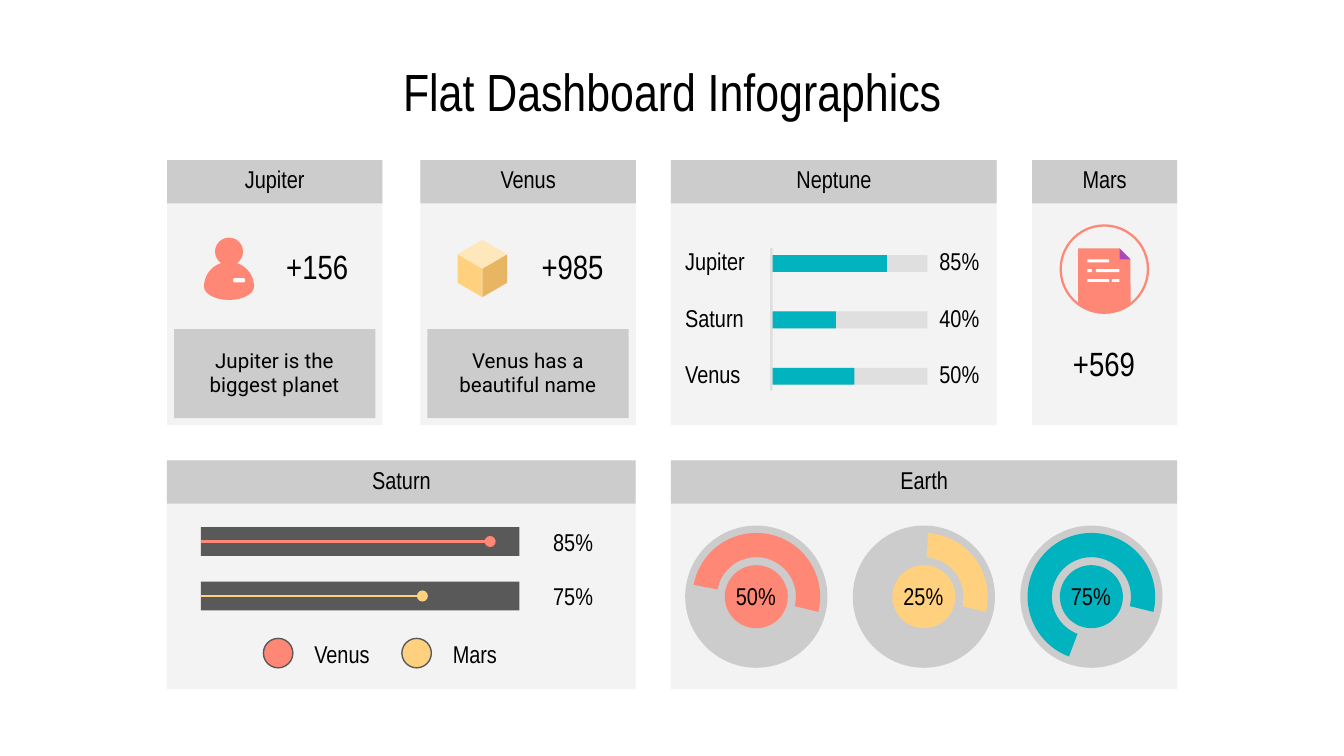
"""Build the flat dashboard infographics slide."""
from math import cos, radians, sin

from lxml import etree
from pptx import Presentation
from pptx.dml.color import RGBColor
from pptx.enum.shapes import MSO_CONNECTOR, MSO_SHAPE
from pptx.enum.text import MSO_ANCHOR, PP_ALIGN
from pptx.oxml.ns import qn
from pptx.util import Pt

RECTANGLE, ROUNDED, OVAL = MSO_SHAPE.RECTANGLE, MSO_SHAPE.ROUNDED_RECTANGLE, MSO_SHAPE.OVAL
DONUT, FOLD, BLOCK_ARC = MSO_SHAPE.DONUT, MSO_SHAPE.RIGHT_TRIANGLE, MSO_SHAPE.BLOCK_ARC
STRAIGHT = MSO_CONNECTOR.STRAIGHT
LEFT, CENTER = PP_ALIGN.LEFT, PP_ALIGN.CENTER
TOP, MIDDLE = MSO_ANCHOR.TOP, MSO_ANCHOR.MIDDLE

THEME = {
    "colors": {
        "text": "000000", "white": "FFFFFF", "card": "F3F3F3", "header": "CCCCCC",
        "track": "DFDFDF", "dark": "595959", "coral": "FF8775", "yellow": "FFD07E",
        "ochre": "E8B562", "cream": "FFE7BC", "teal": "00B3BE", "purple": "AF47BC",
    },
    "sizes": {"title": 28, "value": 18, "label": 13, "note": 11},
    "fonts": {"title": "Arial Narrow", "value": "Arial Narrow", "label": "Arial Narrow", "note": "Roboto"},
}
COLORS = {name: RGBColor.from_string(value) for name, value in THEME["colors"].items()}
INSETS = {f"margin_{side}": Pt(7.2) for side in ("left", "top", "right", "bottom")}

presentation = Presentation()
presentation.slide_width, presentation.slide_height = Pt(720), Pt(405)
slide = presentation.slides.add_slide(presentation.slide_layouts[6])
shapes = slide.shapes


def add_box(kind, left, top, width, height, color):
    """Add a flat, unlined preset shape."""
    shape = shapes.add_shape(kind, Pt(left), Pt(top), Pt(width), Pt(height))
    shape.shadow.inherit = False
    shape.fill.solid()
    shape.fill.fore_color.rgb = COLORS[color]
    shape.line.fill.background()
    return shape


def add_text(text, left, top, width, height, style="label", alignment=CENTER, anchor=MIDDLE):
    """Add a text box in one of the theme's text styles."""
    frame = shapes.add_textbox(Pt(left), Pt(top), Pt(width), Pt(height)).text_frame
    for name, value in {**INSETS, "word_wrap": True, "vertical_anchor": anchor}.items():
        setattr(frame, name, value)
    paragraph = frame.paragraphs[0]
    paragraph.text, paragraph.alignment = text, alignment
    font = paragraph.runs[0].font
    for name, value in {"size": Pt(THEME["sizes"][style]), "name": THEME["fonts"][style]}.items():
        setattr(font, name, value)
    font.color.rgb = COLORS["text"]


add_text("Flat Dashboard Infographics", 32.4, 24.5, 655.2, 45.4, "title", anchor=TOP)

for title, left, top, width, height in (
    ("Jupiter", 89.5, 85.8, 115.4, 142),
    ("Venus", 225.2, 85.8, 115.4, 142),
    ("Neptune", 359.5, 85.8, 174.5, 142),
    ("Mars", 552.9, 85.8, 77.7, 142),
    ("Saturn", 89.5, 246.7, 251.1, 122.5),
    ("Earth", 359.5, 246.7, 271.1, 122.5),
):
    add_box(RECTANGLE, left, top, width, height, "card")
    add_box(RECTANGLE, left, top, width, 23.2, "header")
    add_text(title, left + width / 2 - 34.2, top, 68.4, 20.2)

for left, value_left, value, note in (
    (89.5, 146.2, "+156", "Jupiter is the biggest planet"),
    (225.2, 283, "+985", "Venus has a beautiful name"),
):
    add_box(RECTANGLE, left + 3.8, 176.3, 107.8, 47.8, "header")
    add_text(note, left + 7.2, 181.5, 100.8, 36, "note")
    add_text(value, value_left, 132.5, 51.1, 20.2, "value", LEFT)

body = []
for degrees in range(0, 360, 6):
    height = 7.2 if degrees < 180 else 13.2
    body.append((122.7 + 13.4 * cos(radians(degrees)), 153.5 + height * sin(radians(degrees))))
page = [(577.6, 133.1), (599.8, 133.1), (605.6, 138.9)]
for degrees in range(54, 127, 4):
    page.append((591.6 + 23.9 * cos(radians(degrees)), 144.1 + 23.9 * sin(radians(degrees))))
cube_left, cube_middle, cube_right = 245.1, 258.4, 271.7
for color, points in (
    ("ochre", [(cube_right, 136.2), (cube_middle, 143.9), (cube_middle, 159.2), (cube_right, 151.5)]),
    ("yellow", [(cube_left, 136.2), (cube_left, 151.5), (cube_middle, 159.2), (cube_middle, 143.9)]),
    ("cream", [(cube_middle, 128.5), (cube_left, 136.2), (cube_middle, 143.9), (cube_right, 136.2)]),
    ("coral", body),
    ("coral", page),
):
    builder = shapes.build_freeform(Pt(points[0][0]), Pt(points[0][1]))
    builder.add_line_segments([(Pt(x), Pt(y)) for x, y in points[1:]], close=True)
    shape = builder.convert_to_shape()
    shape.shadow.inherit = False
    shape.fill.solid()
    shape.fill.fore_color.rgb = COLORS[color]
    shape.line.fill.background()

add_box(OVAL, 115.2, 127.3, 15, 15, "coral")
add_box(ROUNDED, 124.9, 149, 6.4, 2.3, "white").adjustments[0] = 0.4

add_box(DONUT, 567.6, 120.2, 48, 48, "coral").adjustments[0] = 0.025
add_box(FOLD, 599.8, 133.1, 5.8, 5.8, "purple")
for left, top, width in (
    (582.5, 139, 11.8), (582.5, 144.2, 2.4), (587.1, 144.2, 12.6),
    (582.5, 149.5, 11.8), (595.7, 149.5, 4),
):
    add_box(RECTANGLE, left, top, width, 1.6, "white")
add_text("+569", 563, 177.8, 56.9, 33.8, "value")

for row, (label, value, length) in enumerate(
    (("Jupiter", "85%", 61.5), ("Saturn", "40%", 34.2), ("Venus", "50%", 44.2))
):
    top = 136.7 + 30.2 * row
    add_box(RECTANGLE, 413.6, top, 83.2, 9, "track")
    add_box(RECTANGLE, 413.6, top, length, 9, "teal")
    add_text(label, 360, top - 7, 59.8, 20.2, alignment=LEFT)
    add_text(value, 496.2, top - 7, 38.9, 20.2, alignment=LEFT)
add_box(RECTANGLE, 412.6, 133, 1.4, 76.2, "track")

for top, end, value, text_top, color in (
    (282.4, 262.6, "85%", 280.3, "coral"),
    (311.6, 226.3, "75%", 308.9, "yellow"),
):
    bar = add_box(RECTANGLE, 107.7, top, 170.6, 15.4, "dark")
    middle = Pt(top + 7.7)
    line = shapes.add_connector(STRAIGHT, Pt(107.7), middle, Pt(end), middle)
    line.begin_connect(bar, 1)
    line.line.color.rgb, line.line.width = COLORS[color], Pt(1.5)
    etree.SubElement(line.line._get_or_add_ln(), qn("a:tailEnd"), type="oval")
    etree.SubElement(line._element.spPr, qn("a:effectLst"))
    add_text(value, 289.3, text_top, 38.9, 20.2, alignment=LEFT)

for label, left, color in (("Venus", 141.1, "coral"), ("Mars", 215.3, "yellow")):
    marker = add_box(OVAL, left, 342, 15.8, 15.8, color)
    marker.line.color.rgb, marker.line.width = COLORS["dark"], Pt(0.75)
    add_text(label, left + 20.2, 340.2, 54, 20.2, alignment=LEFT)

for column, (value, start, color) in enumerate(
    (("50%", 190.75, "coral"), ("25%", 273.91, "yellow"), ("75%", 110.56, "teal"))
):
    center_x, center_y = 405.2 + 89.75 * column, 319.7
    for kind, size, fill in ((OVAL, 76.2, "header"), (OVAL, 33.8, color), (BLOCK_ARC, 68.4, color)):
        shape = add_box(kind, center_x - size / 2, center_y - size / 2, size, size, fill)
    for index, adjustment in enumerate((start * 0.6, 13.75 * 0.6, 0.19)):
        shape.adjustments[index] = adjustment
    add_text(value, center_x - 28.8, center_y - 12.2, 56.9, 23)

presentation.save("out.pptx")
